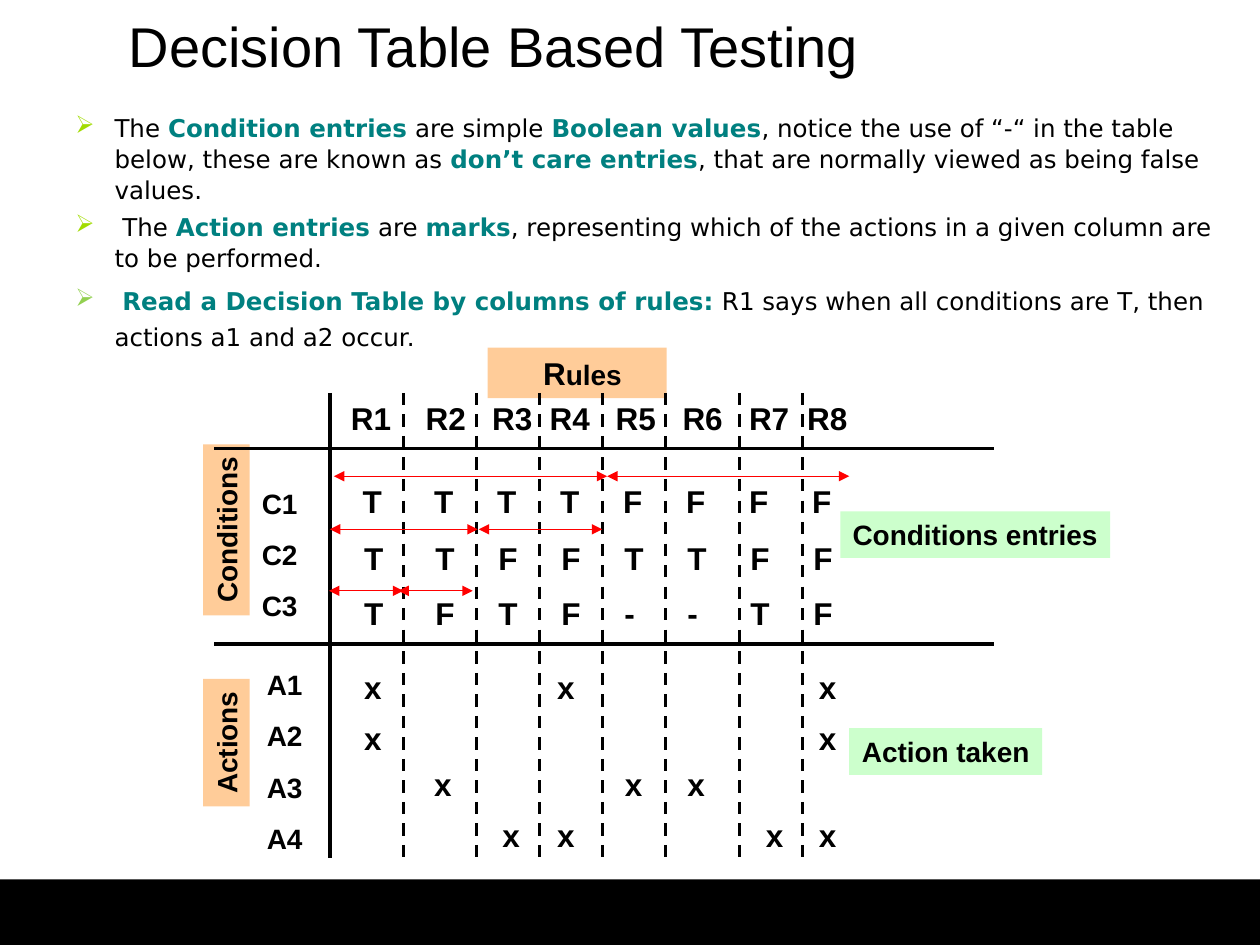
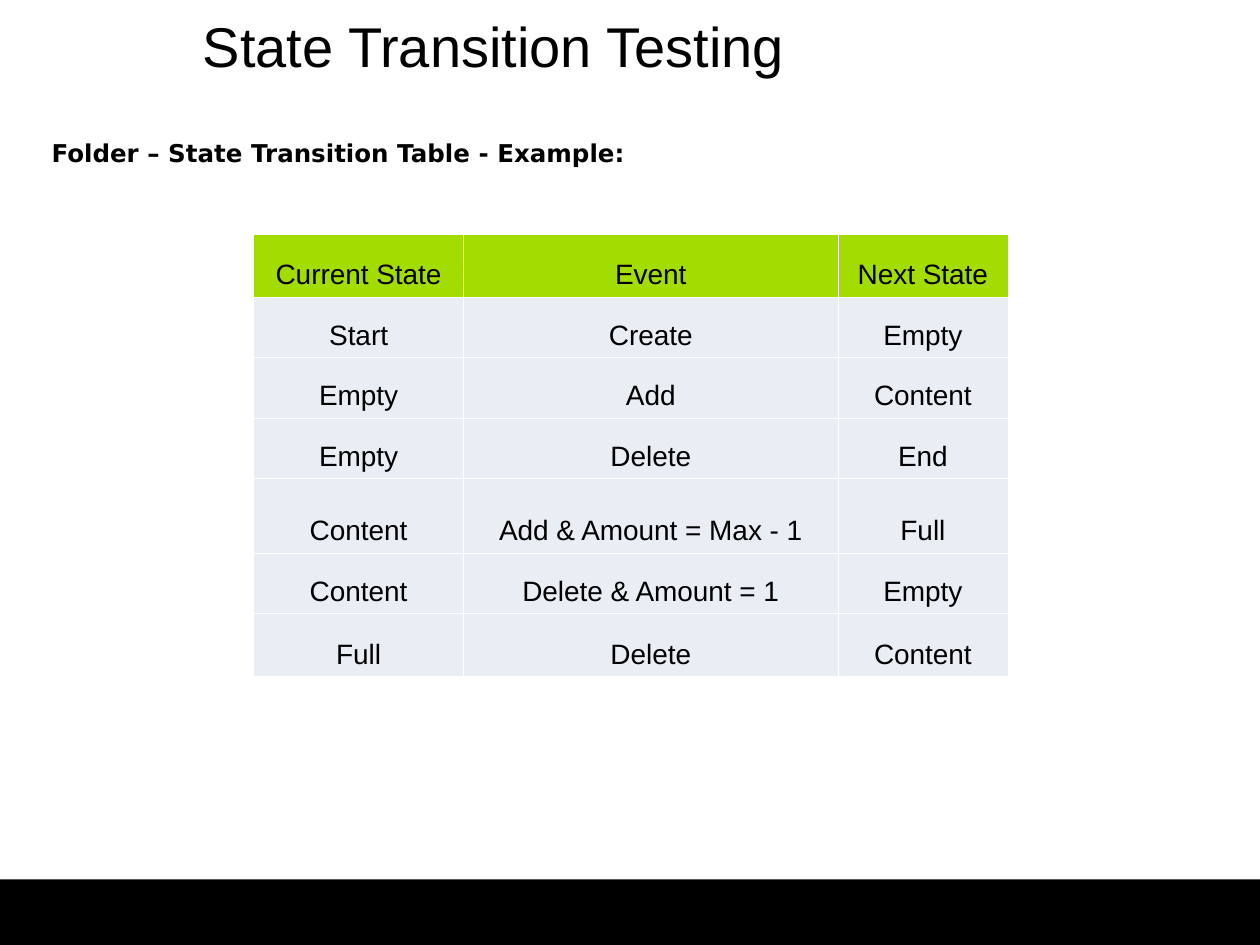
import pptx
import pptx.dml.color
import pptx.enum.dml
import pptx.enum.shapes
import pptx.enum.text
import pptx.oxml
import pptx.oxml.ns
import pptx.util
from lxml import etree

Cm = pptx.util.Cm
Pt = pptx.util.Pt
hex_color = pptx.dml.color.RGBColor.from_string
Align = pptx.enum.text.PP_ALIGN
Anchor = pptx.enum.text.MSO_ANCHOR
qn = pptx.oxml.ns.qn

BLACK, WHITE, RED, TEAL = "000000", "FFFFFF", "FF0000", "008080"
LIME, LEAF, PEACH, MINT, PALE = "A2DC00", "92D050", "FFCC99", "CCFFCC", "E9EDF4"

TITLE = {"name": "Arial", "size": Pt(32), "bold": False}
BODY = {"name": "DejaVu Sans", "size": Pt(14), "bold": False}
BODY_BOLD = {**BODY, "bold": True}
LABEL = {"name": "Arial", "size": Pt(16), "bold": True}
ENTRY = {**LABEL, "size": Pt(18)}
CELL = {**LABEL, "bold": False}


def add_text(slide, box, paragraphs, font, fill=None, frame_format=None, paragraph_format=None):
    """Each paragraph is a list of (text, format overrides, colour) runs."""
    place = [Cm(length) for length in box]
    if fill:
        shape = slide.shapes.add_shape(pptx.enum.shapes.MSO_SHAPE.RECTANGLE, *place)
        shape.shadow.inherit = False
        shape.fill.solid()
        shape.fill.fore_color.rgb = hex_color(fill)
        shape.line.fill.background()
    else:
        shape = slide.shapes.add_textbox(*place)
    frame = shape.text_frame
    settings = {"word_wrap": True, "vertical_anchor": Anchor.TOP, **(frame_format or {})}
    for name, value in settings.items():
        setattr(frame, name, value)
    for number, runs in enumerate(paragraphs):
        paragraph = frame.add_paragraph() if number else frame.paragraphs[0]
        for name, value in {"alignment": Align.LEFT, **(paragraph_format or {})}.items():
            setattr(paragraph, name, value)
        for text, overrides, color in runs:
            run = paragraph.add_run()
            run.text = text
            for name, value in {**font, **overrides}.items():
                setattr(run.font, name, value)
            run.font.color.rgb = hex_color(color)
    return shape


def add_line(slide, start, end, color, width, dashed=False, arrows=False):
    points = [Cm(length) for length in (*start, *end)]
    line = slide.shapes.add_connector(pptx.enum.shapes.MSO_CONNECTOR.STRAIGHT, *points)
    line.line.color.rgb = hex_color(color)
    line.line.width = Pt(width)
    if dashed:
        line.line.dash_style = pptx.enum.dml.MSO_LINE.DASH
    if arrows:
        for tag in ("a:headEnd", "a:tailEnd"):
            etree.SubElement(line.line._get_or_add_ln(), qn(tag), type="triangle")
    etree.SubElement(line._element.spPr, qn("a:effectLst"))


presentation = pptx.Presentation()
presentation.slide_width, presentation.slide_height = Cm(25.4), Cm(19.05)

# Footer band and title on both slides
slides = []
for title in ("Decision Table Based Testing", "State Transition Testing"):
    slide = presentation.slides.add_slide(presentation.slide_layouts[6])
    add_text(slide, (0, 17.73, 25.4, 1.39), [], TITLE, fill=BLACK)
    add_text(slide, (-0.84, -0.3, 21.59, 2.41), [[(title, {}, BLACK)]], TITLE,
             frame_format={"vertical_anchor": Anchor.MIDDLE},
             paragraph_format={"alignment": Align.CENTER})
    slides.append(slide)
decision_slide, transition_slide = slides

# Decision table: axes
TOP, BOTTOM = 7.92, 17.3
add_line(decision_slide, (4.32, 12.98), (20.04, 12.98), BLACK, 2)
add_line(decision_slide, (6.65, TOP), (6.65, BOTTOM), BLACK, 2)

# Row names
for left, top, height, names in ((5.03, 9.68, 3, ("C1", "C2", "C3")),
                                 (5.13, 13.34, 4.04, ("A1", "A2", "A3", "A4"))):
    add_text(decision_slide, (left, top, 1.7, height),
             [[(name, {}, BLACK)] for name in names], LABEL,
             paragraph_format={"space_before": Pt(10)})

# Rule names, condition entries and action marks, one tab stop per rule
condition_tabs = [1.44 + 1.27 * rule for rule in range(7)]
action_tabs = [1.41, 2.79, 3.89, 5.26, 6.52, 8.1, 9.17]
rule_tabs = [1.68, 3.02, 4.18, 5.51, 6.86, 8.2, 9.37]
rows = [
    (6.65, 7.92, " R1 R2 R3 R4 R5 R6 R7 R8", rule_tabs),
    (7.06, 9.6, "T T T T F F F F", condition_tabs),
    (7.09, 10.74, "T T F F T T F F", condition_tabs),
    (7.09, 11.86, "T F T F - - T F", condition_tabs),
    (7.09, 13.34, "x . . x . . . x", action_tabs),
    (7.09, 14.38, "x . . . . . . x", action_tabs),
    (7.09, 15.29, ". x . . x x", action_tabs),
    (7.09, 16.33, ". . x x . . x x", action_tabs),
]
for left, top, entries, tabs in rows:
    text = entries.replace(" R1", "R1").replace(" ", "\t").replace(".", "")
    if tabs is rule_tabs:
        text = " " + text
    shape = add_text(decision_slide, (left, top, 11, 1.02), [[(text, {}, BLACK)]], ENTRY)
    properties = shape.text_frame.paragraphs[0]._p.get_or_add_pPr()
    tab_list = etree.SubElement(properties, qn("a:tabLst"))
    for tab in tabs:
        etree.SubElement(tab_list, qn("a:tab"), pos=str(Cm(tab)), algn="l")

# Coloured labels
for name, box, fill, rotation in (
        ("Conditions", (2.84, 10.21, 3.45, 0.94), PEACH, 270),
        ("Actions", (3.28, 14.5, 2.57, 0.94), PEACH, 270),
        ("Conditions entries", (16.94, 10.31, 5.44, 0.94), MINT, 0),
        ("Action taken", (17.12, 14.68, 3.89, 0.94), MINT, 0)):
    label = add_text(decision_slide, box, [[(name, {}, BLACK)]], LABEL, fill,
                     {"word_wrap": False}, {"alignment": Align.CENTER})
    label.rotation = rotation
add_text(decision_slide, (9.83, 7.01, 3.61, 1.02),
         [[("R", {}, BLACK), ("ules", {"size": Pt(16)}, BLACK)]], ENTRY, PEACH,
         {"margin_left": Cm(1.12)})

# Header rule and dashed column rules
add_line(decision_slide, (4.32, 9.04), (20.04, 9.04), BLACK, 2)
for x in (8.13, 9.6, 10.87, 12.14, 13.41, 14.91, 16.18):
    add_line(decision_slide, (x, TOP), (x, BOTTOM), BLACK, 1.75, dashed=True)

# Arrows spanning the groups of equal entries
for y, spans in ((9.6, ((6.73, 12.24), (12.24, 17.12))),
                 (10.67, ((6.65, 9.63), (9.65, 12.14))),
                 (11.91, ((6.63, 8.13), (8.03, 9.53)))):
    for start, end in spans:
        add_line(decision_slide, (start, y), (end, y), RED, 0.75, arrows=True)

# Explanation: every second piece is highlighted
explanations = [
    (LIME, 1.05, ["The ", "Condition entries", " are simple ", "Boolean values",
                  ", notice the use of “-“ in the table below, these are known as ",
                  "don’t care entries",
                  ", that are normally viewed as being false values."]),
    (LIME, 1.05, [" The ", "Action entries", " are ", "marks",
                  ", representing which of the actions in a given column are to be performed."]),
    (LEAF, 1.25, [" ", "Read a Decision Table by columns of rules:",
                  " R1 says when all conditions are T, then actions a1 and a2 occur."]),
]
paragraphs = [[(piece, {"bold": number % 2 == 1}, TEAL if number % 2 else BLACK)
               for number, piece in enumerate(pieces)]
              for _, _, pieces in explanations]
explanation = add_text(decision_slide, (1.27, 2.13, 23.44, 5.23), paragraphs, BODY,
                       paragraph_format={"space_before": Pt(3.5)})
for paragraph, (color, spacing, _) in zip(explanation.text_frame.paragraphs, explanations):
    paragraph.line_spacing = spacing
    properties = paragraph._p.get_or_add_pPr()
    properties.set("marL", str(Cm(0.79)))
    properties.set("indent", str(Cm(-0.79)))
    bullet_color = etree.SubElement(properties, qn("a:buClr"))
    etree.SubElement(bullet_color, qn("a:srgbClr"), val=color)
    etree.SubElement(properties, qn("a:buChar"), char="➢")

# State transition table
add_text(transition_slide, (0.79, 2.51, 13.59, 0.99),
         [[("Folder – State Transition Table - Example:", {}, BLACK)]], BODY_BOLD,
         paragraph_format={"line_spacing": 1.25, "space_before": Pt(3.5)})
transitions = [
    ("Current State", "Event", "Next State"),
    ("Start", "Create", "Empty"),
    ("Empty", "Add", "Content"),
    ("Empty", "Delete", "End"),
    ("Content", "Add & Amount = Max - 1", "Full"),
    ("Content", "Delete & Amount = 1", "Empty"),
    ("Full", "Delete", "Content"),
]
widths = (4.24, 7.54, 3.43)
heights = (1.27, 1.22, 1.22, 1.22, 1.5, 1.22, 1.27)
table = transition_slide.shapes.add_table(
    len(heights), len(widths), Cm(5.11), Cm(4.72), Cm(sum(widths)), Cm(sum(heights))).table
for column, width in zip(table.columns, widths):
    column.width = Cm(width)
for row, height in zip(table.rows, heights):
    row.height = Cm(height)
cell_format = {"vertical_anchor": Anchor.BOTTOM, "margin_left": Cm(0.03),
               "margin_right": Cm(0.03), "margin_top": Cm(0.13), "margin_bottom": Cm(0.13)}
for row_number, names in enumerate(transitions):
    for column_number, name in enumerate(names):
        cell = table.cell(row_number, column_number)
        for attribute, value in cell_format.items():
            setattr(cell, attribute, value)
        paragraph = cell.text_frame.paragraphs[0]
        paragraph.alignment = Align.CENTER
        run = paragraph.add_run()
        run.text = name
        for attribute, value in CELL.items():
            setattr(run.font, attribute, value)
        run.font.color.rgb = hex_color(BLACK)
        # Borders come before the fill in the cell properties
        properties = cell._tc.get_or_add_tcPr()
        for tag in ("a:lnL", "a:lnR", "a:lnT", "a:lnB"):
            border = etree.SubElement(properties, qn(tag), w=str(Pt(0.45)))
            border_fill = etree.SubElement(border, qn("a:solidFill"))
            etree.SubElement(border_fill, qn("a:srgbClr"), val=WHITE)
        cell.fill.solid()
        cell.fill.fore_color.rgb = hex_color(PALE if row_number else LIME)

presentation.save("out.pptx")
